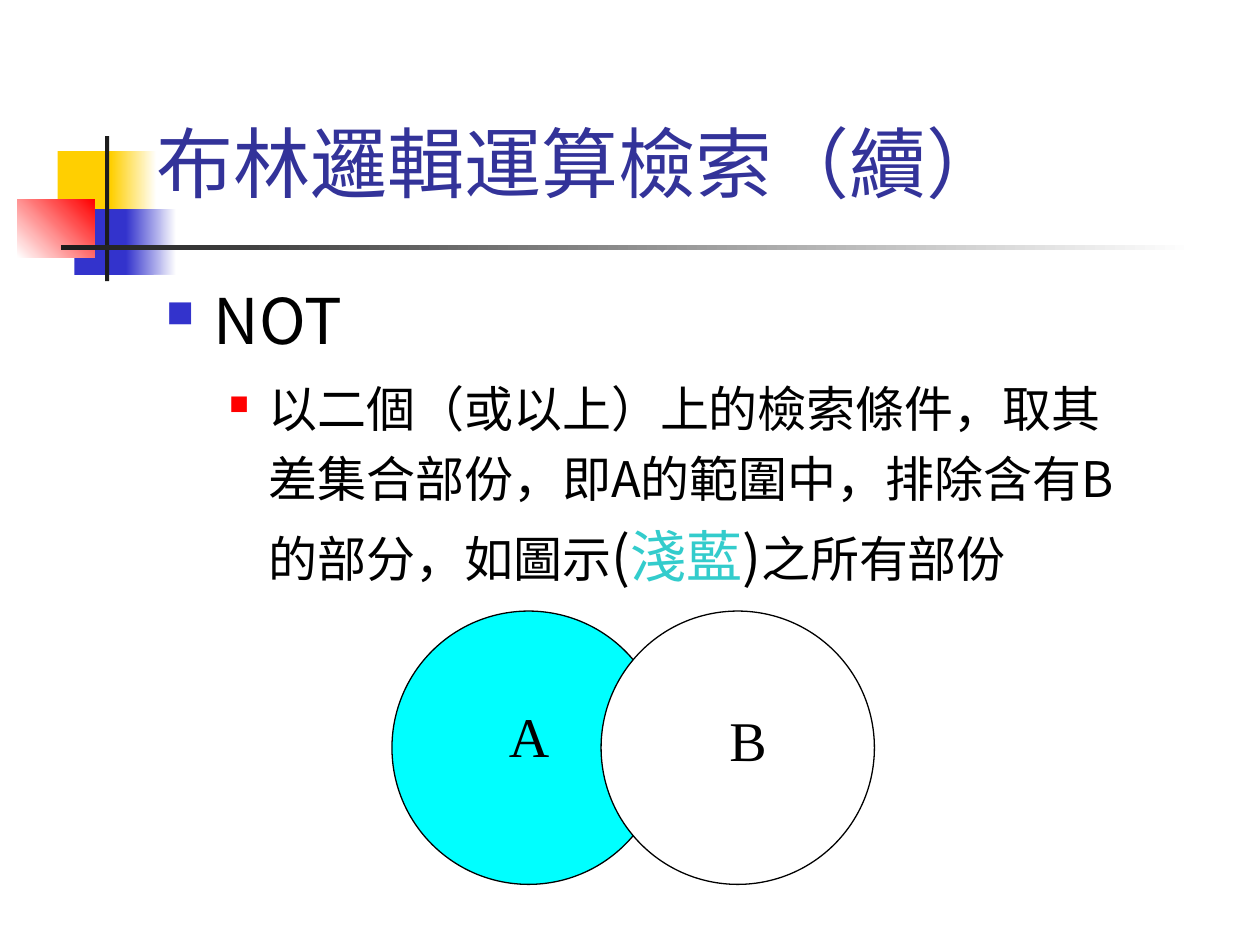
from lxml import etree
from pptx import Presentation
from pptx.dml.color import RGBColor
from pptx.enum.shapes import MSO_SHAPE
from pptx.enum.text import MSO_ANCHOR, MSO_AUTO_SIZE, PP_ALIGN
from pptx.oxml import parse_xml
from pptx.oxml.ns import qn
from pptx.util import Pt

RECTANGLE, OVAL = MSO_SHAPE.RECTANGLE, MSO_SHAPE.OVAL
TOP, BOTTOM = MSO_ANCHOR.TOP, MSO_ANCHOR.BOTTOM
NO_AUTOFIT, LEFT = MSO_AUTO_SIZE.NONE, PP_ALIGN.LEFT
SANS, SERIF = "Noto Sans CJK SC", "Times New Roman"
NAMESPACE = 'xmlns:a="http://schemas.openxmlformats.org/drawingml/2006/main"'


def color(hex_string):
    return RGBColor.from_string(hex_string)


def add_text(paragraph, text, size, font=SANS, fill="000000"):
    run = paragraph.add_run()
    run.text = text
    run.font.size = Pt(size)
    run.font.name = font
    run.font.color.rgb = color(fill)
    etree.SubElement(run.font._element, qn("a:ea")).set("typeface", font)
    paragraph.alignment = LEFT
    return run


presentation = Presentation()
presentation.slide_width, presentation.slide_height = Pt(720), Pt(540)
slide = presentation.slides.add_slide(presentation.slide_layouts[1])
title, body = slide.placeholders

# Corner decoration: left, top, width, height, first colour, last colour, angle
decorations = [
    (33, 86.4, 35, 37.6, "FFCF01", None, 0),
    (63.4, 86.4, 26, 37.6, "FFCF01", "FFFFFF", 0),
    (42.5, 119.6, 33, 37.6, "3333CC", None, 0),
    (72, 119.6, 28.8, 37.6, "3333CC", "FFFFFF", 0),
    (10, 113.8, 44, 33.4, "FFFFFF", "FF0000", 45),
    (60, 77.8, 2.4, 82.8, "1C1C1C", None, 0),
    (34.6, 140.2, 648, 2.4, "1C1C1C", "FFFFFF", 0),
]
for left, top, width, height, first, last, angle in decorations:
    shape = slide.shapes.add_shape(RECTANGLE, Pt(left), Pt(top), Pt(width), Pt(height))
    shape.shadow.inherit = False
    shape.line.fill.background()
    if last:
        shape.fill.gradient()
        shape.fill.gradient_angle = angle
        for stop, stop_color, position in zip(shape.fill.gradient_stops, (first, last), (0, 1)):
            stop.color.rgb = color(stop_color)
            stop.position = position
    else:
        shape.fill.solid()
        shape.fill.fore_color.rgb = color(first)

# Place the title and body in front of the decoration
for placeholder, box, anchor in (
    (title, (82, 20.2, 602, 102.2), BOTTOM),
    (body, (87.8, 157, 556, 305.3), TOP),
):
    slide.shapes._spTree.append(placeholder._element)
    placeholder.left, placeholder.top, placeholder.width, placeholder.height = map(Pt, box)
    placeholder.text_frame.auto_size = NO_AUTOFIT
    placeholder.text_frame.vertical_anchor = anchor
body.fill.solid()
body.fill.fore_color.rgb = color("FFFFFF")

# Title with a text shadow
title_run = add_text(title.text_frame.paragraphs[0], "布林邏輯運算檢索（續）", 44, fill="333399")
title_run.font._element.find(qn("a:solidFill")).addnext(parse_xml(
    f'<a:effectLst {NAMESPACE}><a:outerShdw dist="35921" dir="2700000">'
    '<a:srgbClr val="B2B2B2"/></a:outerShdw></a:effectLst>'))

# Bulleted list: margin, hanging indent, space before, line spacing, bullet, runs
bullets = [
    (27, 27, 7.2, 1, "3333CC", 60, [("NOT　", 36, "000000")]),
    (58.5, 22.5, 5.6, 1.2, "FF0000", 55, [
        ("以二個（或以上）上的檢索條件，取其差集合部份，即A的範圍中，排除含有B的部分，如圖示", 28, "000000"),
        ("(", 32, "000000"),
        ("淺藍", 32, "33CCCC"),
        (")", 32, "000000"),
        ("之所有部份", 28, "000000"),
    ]),
]
body.text_frame.add_paragraph()
for level, (paragraph, bullet) in enumerate(zip(body.text_frame.paragraphs, bullets)):
    margin, hanging, before, spacing, bullet_color, bullet_size, runs = bullet
    paragraph.level = level
    paragraph.space_before = Pt(before)
    paragraph.line_spacing = spacing
    for text, size, fill in runs:
        add_text(paragraph, text, size, fill=fill)
    properties = paragraph._p.get_or_add_pPr()
    properties.set("marL", str(Pt(margin)))
    properties.set("indent", str(-Pt(hanging)))
    for xml in (
        f'<a:buClr {NAMESPACE}><a:srgbClr val="{bullet_color}"/></a:buClr>',
        f'<a:buSzPct {NAMESPACE} val="{bullet_size * 1000}"/>',
        f'<a:buFont {NAMESPACE} typeface="Wingdings" charset="2"/>',
        f'<a:buChar {NAMESPACE} char="n"/>',
    ):
        properties.append(parse_xml(xml))

# Venn diagram: circle left, fill, label, label left, label top
venn = slide.shapes.add_group_shape()
for left, fill, letter, label_left, label_top in (
    (224, "00FFFF", "A", 283.7, 397.4),
    (343.5, "FFFFFF", "B", 409.7, 399.6),
):
    circle = venn.shapes.add_shape(OVAL, Pt(left), Pt(349.2), Pt(156.2), Pt(156.2))
    circle.shadow.inherit = False
    circle.fill.solid()
    circle.fill.fore_color.rgb = color(fill)
    circle.line.color.rgb = color("000000")
    circle.line.width = Pt(0.75)
    label = venn.shapes.add_textbox(Pt(label_left), Pt(label_top), Pt(77.8), Pt(45.4))
    label.text_frame.word_wrap = True
    add_text(label.text_frame.paragraphs[0], letter, 32, font=SERIF)

presentation.save("out.pptx")
